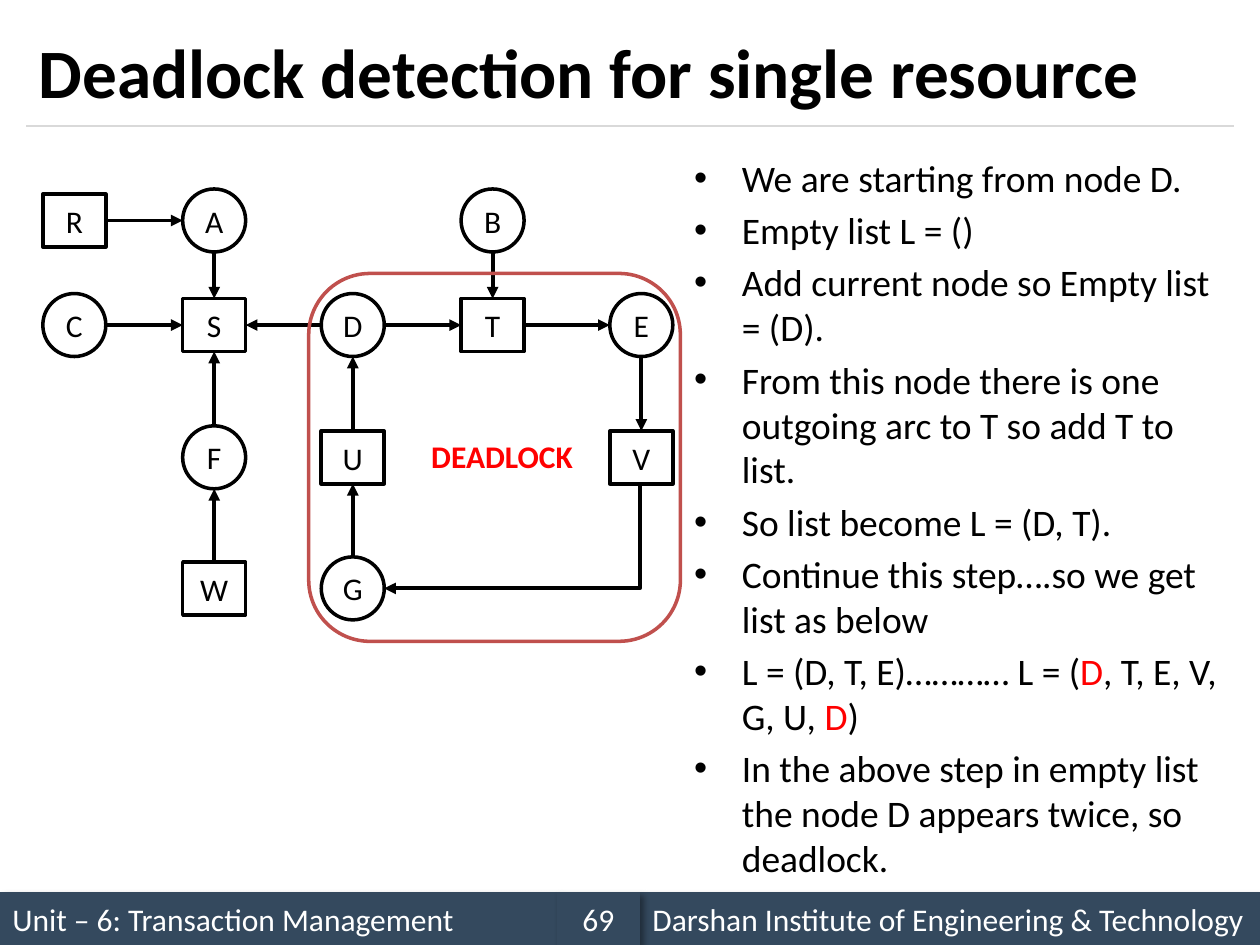
from lxml import etree
from pptx import Presentation, util as u
from pptx.dml.color import RGBColor
from pptx.enum import shapes, text
from pptx.oxml.ns import qn

BLACK = RGBColor(0, 0, 0)
WHITE = RGBColor(255, 255, 255)
RED = RGBColor(255, 0, 0)
SLATE = RGBColor(0x34, 0x49, 0x5E)
BRICK = RGBColor(0xC0, 0x50, 0x4D)
GREY = RGBColor(0xD9, 0xD9, 0xD9)
MID, LEFT = text.PP_ALIGN.CENTER, text.PP_ALIGN.LEFT
SHAPE, LINK = shapes.MSO_SHAPE, shapes.MSO_CONNECTOR

prs = Presentation()
prs.slide_width, prs.slide_height = u.Inches(10), u.Inches(7.5)
W, H = prs.slide_width, prs.slide_height
s = prs.slides.add_slide(prs.slide_layouts[6])


def write(sp, *lines, size=18, color=BLACK, bold=False, align=LEFT,
          anchor=text.MSO_ANCHOR.MIDDLE, bullet=False, gap=0):
    """Fill a shape with one paragraph per line; parts between bars are red."""
    tf = sp.text_frame
    tf.word_wrap, tf.vertical_anchor = True, anchor
    for i, line in enumerate(lines):
        p = tf.paragraphs[0] if i == 0 else tf.add_paragraph()
        p.alignment = align
        if bullet:
            pPr = p._p.get_or_add_pPr()
            pPr.set("marL", str(u.Inches(0.38)))
            pPr.set("indent", str(u.Inches(-0.38)))
            etree.SubElement(pPr, qn("a:buFont")).set("typeface", "Arial")
            etree.SubElement(pPr, qn("a:buChar")).set("char", "•")
        if i:
            p.space_before = u.Pt(gap)
        for j, part in enumerate(line.split("|")):
            r = p.add_run()
            r.text = part
            r.font.name, r.font.size, r.font.bold = "Calibri", u.Pt(size), bold
            r.font.color.rgb = RED if j % 2 else color


def connect(kind, x1, y1, x2, y2, color=BLACK, width=2.25, arrow=True):
    c = s.shapes.add_connector(kind, *(int(v) for v in (x1, y1, x2, y2)))
    c.line.color.rgb, c.line.width = color, u.Pt(width)
    etree.SubElement(c._element.spPr, qn("a:effectLst"))
    if arrow:
        etree.SubElement(c.line._get_or_add_ln(), qn("a:tailEnd")).set("type", "triangle")
    return c


# Footer bar: left, right, then the page number between them
for left, right, label, align in [
    (0, 0.442, "Unit – 6: Transaction Management", LEFT),
    (0.508, 1, "Darshan Institute of Engineering & Technology", LEFT),
    (0.442, 0.508, "69", MID),
]:
    sp = s.shapes.add_shape(SHAPE.RECTANGLE, int(left * W), int(0.944 * H),
                            int((right - left) * W), int(0.056 * H))
    sp.fill.solid()
    sp.fill.fore_color.rgb = SLATE
    sp.line.fill.background()
    sp.shadow.inherit = False
    shadow = etree.SubElement(sp._element.spPr.find(qn("a:effectLst")), qn("a:outerShdw"),
                              blurRad="50800", dist="38100", dir="2700000")
    black = etree.SubElement(shadow, qn("a:srgbClr"), val="000000")
    etree.SubElement(black, qn("a:alpha"), val="40000")
    write(sp, label, color=WHITE, align=align)

# Title and rule
title = s.shapes.add_textbox(u.Inches(0.21), u.Inches(0.12), u.Inches(9.58), u.Inches(0.88))
write(title, "Deadlock detection for single resource", size=39.6, bold=True)
connect(LINK.STRAIGHT, u.Inches(0.21), u.Inches(1), u.Inches(9.79), u.Inches(1),
        color=GREY, width=0.75, arrow=False)

# Explanation
steps = s.shapes.add_textbox(u.Inches(5.41), u.Inches(1.18), u.Inches(4.39), u.Inches(5.53))
write(
    steps,
    "We are starting from node D.",
    "Empty list L = ()",
    "Add current node so Empty list = (D).",
    "From this node there is one outgoing arc to T so add T to list.",
    "So list become L = (D, T).",
    "Continue this step….so we get list as below",
    "L = (D, T, E)………… L = (|D|, T, E, V, G, U, |D|)",
    "In the above step in empty list the node D appears twice, so deadlock.",
    size=21.4, anchor=text.MSO_ANCHOR.TOP, bullet=True, gap=4.2,
)

# Resource graph: node centres on a grid, resources square and processes round
COLS = [u.Inches(x) for x in (0.59, 1.7, 2.8, 3.91, 5.09)]
ROWS = [u.Inches(y) for y in (1.75, 2.58, 3.63, 4.67)]
GRAPH = ["RA.B.", "CSDTE", ".FU.V", ".WG.."]
RESOURCES = "RSTUVW"
SIZE, BOX_H = u.Inches(0.5), u.Inches(0.42)
nodes = {}
for y, row in zip(ROWS, GRAPH):
    for x, name in zip(COLS, row):
        if name == ".":
            continue
        kind, h = (SHAPE.RECTANGLE, BOX_H) if name in RESOURCES else (SHAPE.OVAL, SIZE)
        sp = s.shapes.add_shape(kind, x - SIZE // 2, y - h // 2, SIZE, h)
        sp.fill.solid()
        sp.fill.fore_color.rgb = WHITE
        sp.line.color.rgb, sp.line.width = BLACK, u.Pt(2)
        sp.shadow.inherit = False
        write(sp, name, align=MID)
        nodes[name] = sp

# Each arc leaves by one side and enters by the opposite one
TOP, WEST, BOTTOM, EAST = range(4)
sides = {}
for name, n in nodes.items():
    cx, cy = n.left + n.width // 2, n.top + n.height // 2
    sides[name] = [(cx, n.top), (n.left, cy), (cx, n.top + n.height), (n.left + n.width, cy)]
ARCS = {EAST: ["RA", "CS", "DT", "TE"], WEST: ["DS"],
        BOTTOM: ["BT", "EV", "AS"], TOP: ["UD", "FS", "GU", "WF"]}
for out, pairs in ARCS.items():
    into = (out + 2) % 4
    for a, b in pairs:
        c = connect(LINK.STRAIGHT, *sides[a][out], *sides[b][into])
        if a in RESOURCES:
            c.begin_connect(nodes[a], out)
        if b in RESOURCES:
            c.end_connect(nodes[b], into)

# V to G turns a corner straight below V
elbow = connect(LINK.ELBOW, *sides["V"][BOTTOM], *sides["G"][EAST])
av = elbow._element.spPr.find(qn("a:prstGeom")).get_or_add_avLst()
etree.SubElement(av, qn("a:gd"), name="adj1", fmla="val 600")

# Cycle
cycle = s.shapes.add_shape(SHAPE.ROUNDED_RECTANGLE, u.Inches(2.45), u.Inches(2.17),
                           u.Inches(2.95), u.Inches(2.92))
cycle.fill.background()
cycle.line.color.rgb, cycle.line.width = BRICK, u.Pt(2)
cycle.shadow.inherit = False
label = s.shapes.add_textbox(u.Inches(3.3), u.Inches(3.42), u.Inches(1.37), u.Inches(0.4))
write(label, "DEADLOCK", color=RED, bold=True, align=MID)

prs.save("out.pptx")
